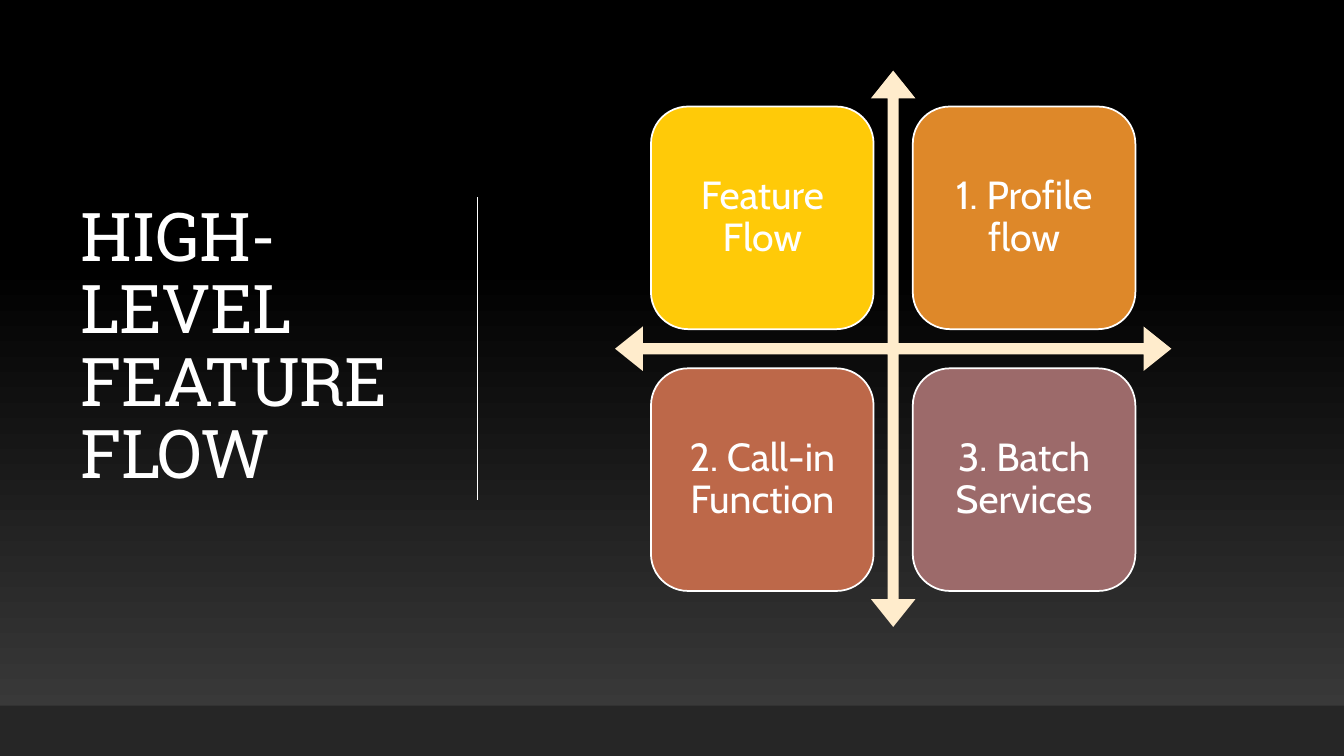
from copy import deepcopy
from dataclasses import dataclass

from pptx import Presentation
from pptx.dml.color import RGBColor
from pptx.enum.shapes import MSO_CONNECTOR, MSO_SHAPE
from pptx.enum.text import MSO_ANCHOR, MSO_AUTO_SIZE, PP_ALIGN
from pptx.oxml.ns import qn
from pptx.util import Pt
from lxml.etree import SubElement

WHITE = RGBColor(0xFF, 0xFF, 0xFF)
BLACK = RGBColor(0x00, 0x00, 0x00)
GREY = RGBColor(0x3F, 0x3F, 0x3F)
BAND = RGBColor(0x26, 0x26, 0x26)
CREAM = RGBColor(0xFF, 0xEC, 0xCC)
YELLOW = RGBColor(0xFF, 0xCA, 0x08)
ORANGE = RGBColor(0xDE, 0x88, 0x29)
RUST = RGBColor(0xBD, 0x68, 0x49)
MAUVE = RGBColor(0x9C, 0x6A, 0x6A)

SLIDE_W, SLIDE_H = 960, 540
CENTRE_X, CENTRE_Y = 638, 249.1
ARROW_SIZE = 397.4
TILE_SIZE, TILE_GAP = 159, 28


@dataclass
class Tile:
    text: str
    color: RGBColor


TILES = [
    Tile("Feature Flow", YELLOW),
    Tile("1. Profile flow", ORANGE),
    Tile("2. Call-in Function", RUST),
    Tile("3. Batch Services", MAUVE),
]


def write(tf, text: str, *, font: str, size: float, align: PP_ALIGN,
          inset: tuple[float, float], spacing: float = 0) -> None:
    tf.word_wrap = True
    tf.auto_size = MSO_AUTO_SIZE.NONE
    tf.vertical_anchor = MSO_ANCHOR.MIDDLE
    tf.margin_left = tf.margin_right = Pt(inset[0])
    tf.margin_top = tf.margin_bottom = Pt(inset[1])
    p = tf.paragraphs[0]
    p.alignment = align
    p.line_spacing = 0.9
    p.space_before = Pt(0)
    r = p.add_run()
    r.text = text
    r.font.name = font
    r.font.size = Pt(size)
    r.font.color.rgb = WHITE
    if spacing:
        r.font._element.set("spc", str(round(spacing * 100)))


def add_block(s, kind: MSO_SHAPE, x: float, y: float, w: float, h: float,
              fill: RGBColor, line_width: float = 0):
    sp = s.shapes.add_shape(kind, Pt(x), Pt(y), Pt(w), Pt(h))
    sp.shadow.inherit = False
    sp.fill.solid()
    sp.fill.fore_color.rgb = fill
    if line_width:
        sp.line.color.rgb = WHITE
        sp.line.width = Pt(line_width)
    else:
        sp.line.fill.background()
    return sp


def add_background(s) -> None:
    fill = s.background.fill
    fill.gradient()
    fill.gradient_angle = 90
    for stop, color, position in zip(fill.gradient_stops, (GREY, BLACK), (0, 0.65)):
        stop.color.rgb = color
        stop.position = position
    stops = s.element.xpath(".//a:gsLst")[0]
    last = deepcopy(stops[-1])
    last.set("pos", "100000")
    stops.append(last)


def add_tile(s, tile: Tile, column: int, row: int) -> None:
    start = TILE_SIZE + TILE_GAP / 2
    pitch = TILE_SIZE + TILE_GAP
    sp = add_block(s, MSO_SHAPE.ROUNDED_RECTANGLE,
                   CENTRE_X - start + column * pitch,
                   CENTRE_Y - start + row * pitch,
                   TILE_SIZE, TILE_SIZE, tile.color, 1.25)
    write(sp.text_frame, tile.text, font="Cabin", size=28,
          align=PP_ALIGN.CENTER, inset=(8.4, 8.4))


def main() -> None:
    prs = Presentation()
    prs.slide_width, prs.slide_height = Pt(SLIDE_W), Pt(SLIDE_H)
    s = prs.slides.add_slide(prs.slide_layouts[5])
    add_background(s)

    # Title
    title = s.shapes.title
    title.left, title.top = Pt(50.4), Pt(49.7)
    title.width, title.height = Pt(265.7), Pt(398.2)
    write(title.text_frame, "HIGH-LEVEL FEATURE FLOW", font="Roboto Slab",
          size=48, align=PP_ALIGN.LEFT, inset=(7.2, 3.6), spacing=-0.5)

    # Divider and bottom band
    divider = s.shapes.add_connector(MSO_CONNECTOR.STRAIGHT, Pt(341.3), Pt(141),
                                     Pt(341.3), Pt(357))
    divider.line.color.rgb = WHITE
    divider.line.width = Pt(1)
    SubElement(divider._element.spPr, qn("a:effectLst"))
    add_block(s, MSO_SHAPE.RECTANGLE, 0, 504, SLIDE_W, 36, BAND)

    # Four-way arrow with a tile in each quadrant
    arrow = add_block(s, MSO_SHAPE.QUAD_ARROW, CENTRE_X - ARROW_SIZE / 2,
                      CENTRE_Y - ARROW_SIZE / 2, ARROW_SIZE, ARROW_SIZE, CREAM)
    for i, value in enumerate((0.02, 0.04, 0.05)):
        arrow.adjustments[i] = value
    for i, tile in enumerate(TILES):
        add_tile(s, tile, column=i % 2, row=i // 2)

    prs.save("out.pptx")


if __name__ == "__main__":
    main()
